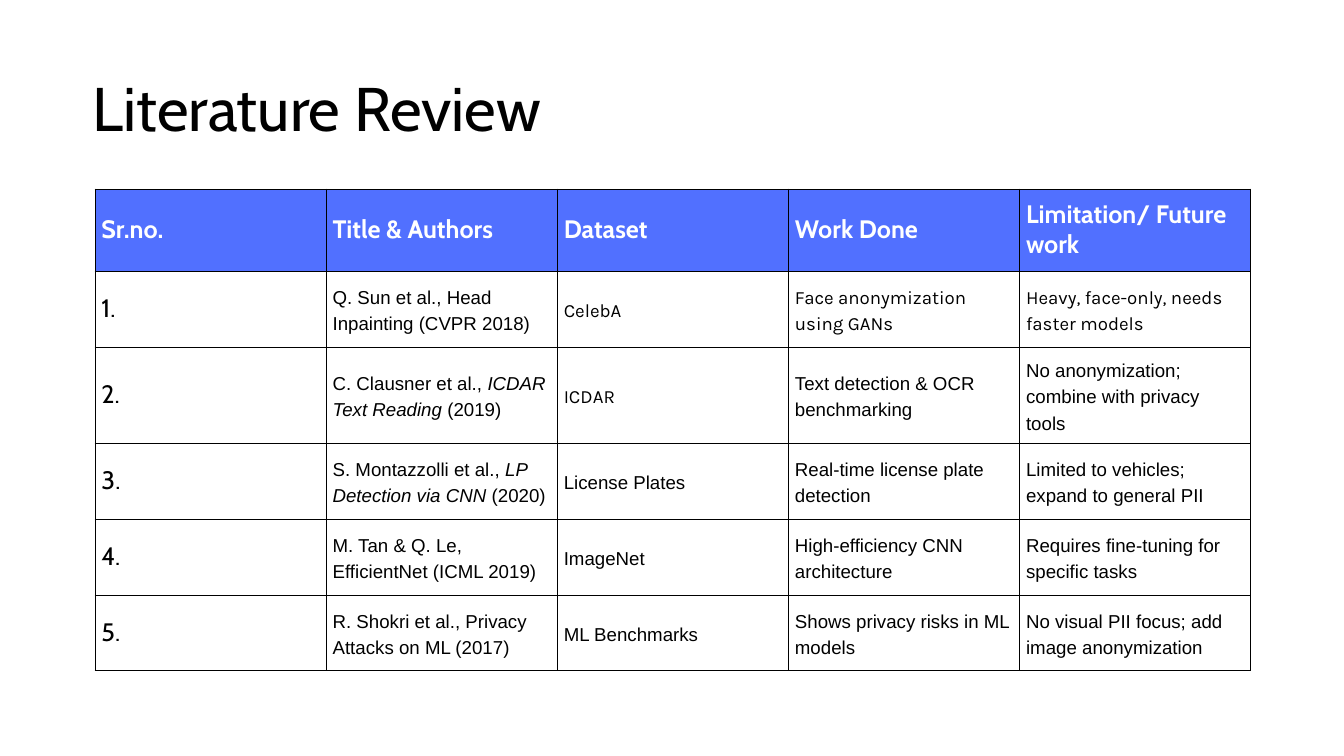
from lxml import etree
from pptx import Presentation
from pptx.dml.color import RGBColor
from pptx.enum.text import MSO_ANCHOR
from pptx.oxml.ns import qn
from pptx.util import Inches, Pt

MIDDLE = MSO_ANCHOR.MIDDLE
BLACK, WHITE, BLUE = "000000", "FFFFFF", "5170FF"
BORDER_WIDTH = Pt(0.37)
COLUMN_WIDTH = 3.44
ROW_HEIGHTS = [1.22, 1.13, 1.43, 1.13, 1.13, 1.13]

HEADERS = ["Sr.no.", "Title & Authors", "Dataset", "Work Done", "Limitation/ Future work"]
PAPERS = [
    [["Q. Sun et al., Head Inpainting (CVPR 2018)"], "CelebA",
     "Face anonymization using GANs", "Heavy, face-only, needs faster models"],
    [["C. Clausner et al., ", "ICDAR Text Reading", " (2019)"], "ICDAR",
     "Text detection & OCR benchmarking", "No anonymization; combine with privacy tools"],
    [["S. Montazzolli et al., ", "LP Detection via CNN", " (2020)"], "License Plates",
     "Real-time license plate detection", "Limited to vehicles; expand to general PII"],
    [["M. Tan & Q. Le, EfficientNet (ICML 2019)"], "ImageNet",
     "High-efficiency CNN architecture", "Requires fine-tuning for specific tasks"],
    [["R. Shokri et al., Privacy Attacks on ML (2017)"], "ML Benchmarks",
     "Shows privacy risks in ML models", "No visual PII focus; add image anonymization"],
]
KARLA_TEXTS = {"CelebA", "Face anonymization using GANs",
               "Heavy, face-only, needs faster models", "ICDAR"}


def rgb(color):
    return RGBColor.from_string(color)


def add_run(paragraph, text, font_name, size, color=BLACK, bold=False, italic=False):
    run = paragraph.add_run()
    run.text = text
    font = run.font
    font.name = font_name
    font.size = Pt(size)
    font.bold = bold
    font.italic = italic
    font.color.rgb = rgb(color)


def add_title(slide, text):
    shape = slide.shapes.add_textbox(Inches(1.38), Inches(0.59), Inches(17.25), Inches(2.12))
    frame = shape.text_frame
    frame.word_wrap = True
    frame.vertical_anchor = MIDDLE
    frame.margin_left = frame.margin_right = frame.margin_top = frame.margin_bottom = 0
    paragraph = frame.paragraphs[0]
    paragraph.line_spacing = Pt(71.3)
    add_run(paragraph, text, "Cabin", 66)


def add_borders(cell):
    properties = cell._tc.get_or_add_tcPr()
    for side in ("a:lnL", "a:lnR", "a:lnT", "a:lnB"):
        line = etree.SubElement(properties, qn(side), w=str(BORDER_WIDTH))
        fill = etree.SubElement(line, qn("a:solidFill"))
        etree.SubElement(fill, qn("a:srgbClr"), val=BLACK)


def style_cell(cell, fill_color, line_spacing):
    add_borders(cell)
    cell.fill.solid()
    cell.fill.fore_color.rgb = rgb(fill_color)
    cell.vertical_anchor = MIDDLE
    cell.margin_left = cell.margin_right = Inches(0.1)
    cell.margin_top = cell.margin_bottom = Inches(0.1)
    paragraph = cell.text_frame.paragraphs[0]
    paragraph.line_spacing = Pt(line_spacing)
    return paragraph


def fill_header(table):
    for column, text in enumerate(HEADERS):
        paragraph = style_cell(table.cell(0, column), BLUE, 32.4)
        add_run(paragraph, text, "Cabin", 27, WHITE, bold=True)


def fill_paper(table, row, paper):
    paragraph = style_cell(table.cell(row, 0), WHITE, 32.4)
    add_run(paragraph, f"{row}.", "Cabin", 27)

    citation, *details = paper
    paragraph = style_cell(table.cell(row, 1), WHITE, 28)
    for index, text in enumerate(citation):
        add_run(paragraph, text, "Arial", 20, italic=index == 1)

    for column, text in enumerate(details, start=2):
        paragraph = style_cell(table.cell(row, column), WHITE, 28)
        add_run(paragraph, text, "Karla" if text in KARLA_TEXTS else "Arial", 20)


def add_review_table(slide):
    shape = slide.shapes.add_table(
        len(ROW_HEIGHTS), len(HEADERS), Inches(1.41), Inches(2.81),
        Inches(COLUMN_WIDTH * len(HEADERS)), Inches(sum(ROW_HEIGHTS)))
    table = shape.table
    for column in table.columns:
        column.width = Inches(COLUMN_WIDTH)
    for row, height in zip(table.rows, ROW_HEIGHTS):
        row.height = Inches(height)
    fill_header(table)
    for row, paper in enumerate(PAPERS, start=1):
        fill_paper(table, row, paper)


def main():
    presentation = Presentation()
    presentation.slide_width = Inches(20)
    presentation.slide_height = Inches(11.25)
    slide = presentation.slides.add_slide(presentation.slide_layouts[6])
    add_title(slide, "Literature Review")
    add_review_table(slide)
    presentation.save("out.pptx")


if __name__ == "__main__":
    main()
